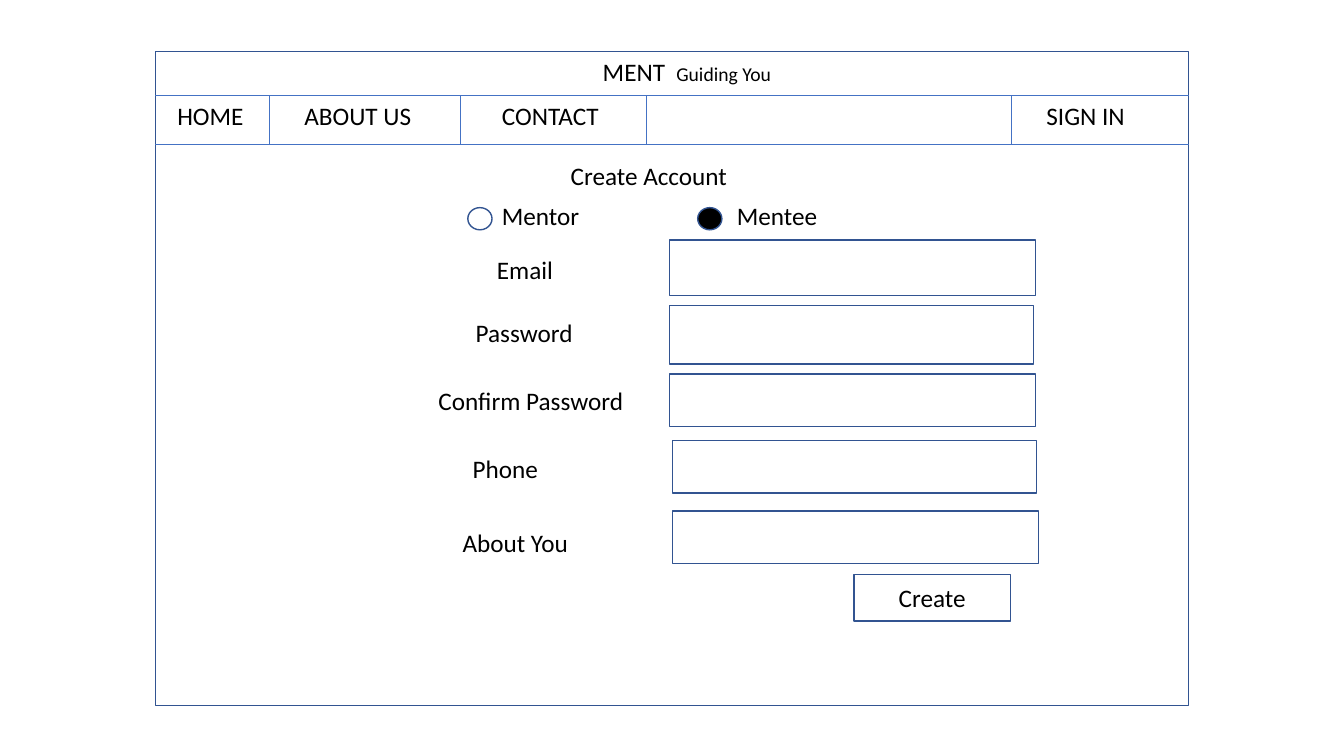
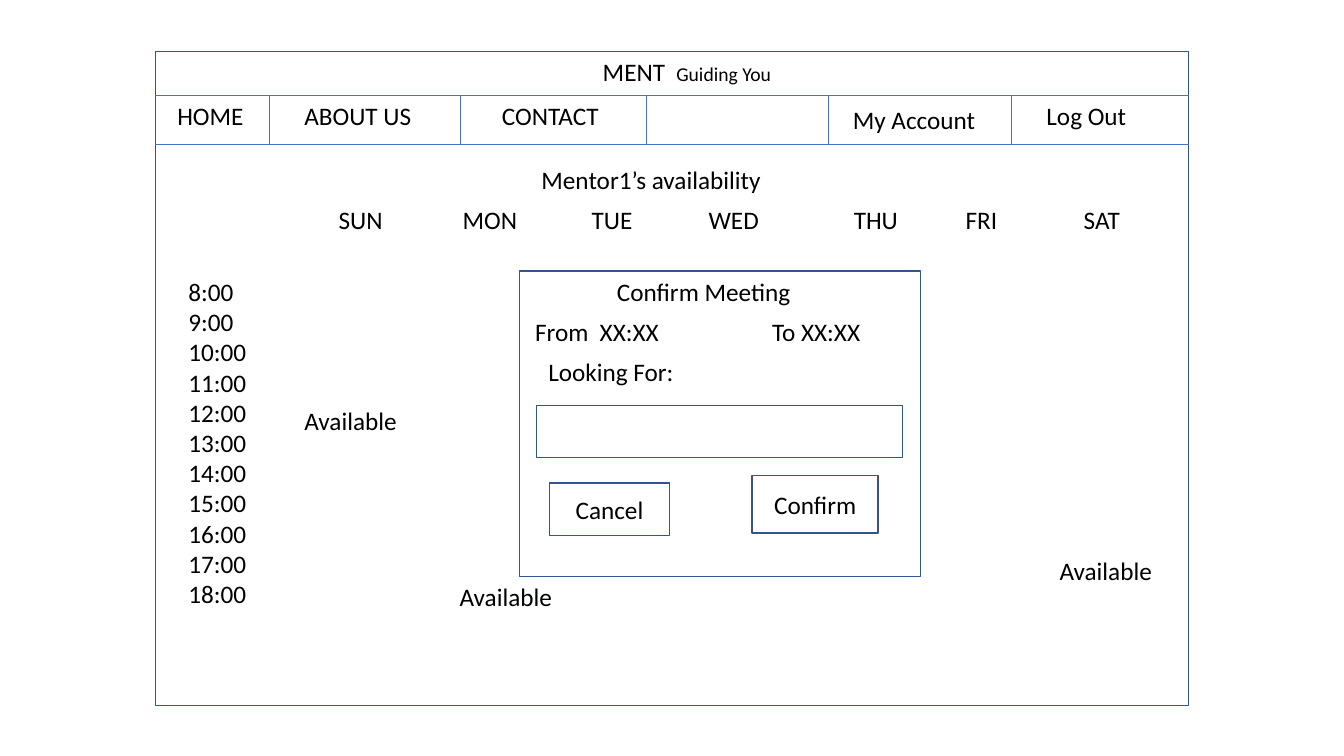
from lxml.etree import SubElement
from pptx import Presentation
from pptx.dml.color import RGBColor
from pptx.enum.shapes import MSO_CONNECTOR, MSO_SHAPE
from pptx.enum.text import MSO_ANCHOR, MSO_AUTO_SIZE, PP_ALIGN
from pptx.oxml.ns import qn
from pptx.util import Inches, Pt

FONT = "Calibri"
BLACK, WHITE = "000000", "FFFFFF"
OUTLINE, DIVIDER = "325491", "4472C4"
LEFT, TOP, WIDTH, HEIGHT = 1.54, 0.51, 10.25, 6.49
RIGHT = LEFT + WIDTH
NAV_TOP, NAV_BOTTOM = 0.95, 1.43
LINE_HEIGHT = 0.4
TITLE_ONLY = 5


def color(value):
    """Turn a hex string into a colour."""
    return RGBColor.from_string(value)


def write(frame, text, size=18, align=PP_ALIGN.LEFT, anchor=MSO_ANCHOR.TOP,
          tabs=(), tail="", tail_size=14):
    """Fill a frame with one paragraph per line, with an optional smaller tail."""
    frame.word_wrap = True
    frame.auto_size = MSO_AUTO_SIZE.NONE
    frame.vertical_anchor = anchor
    for index, line in enumerate(text.split("\n")):
        paragraph = frame.paragraphs[0] if index == 0 else frame.add_paragraph()
        paragraph.alignment = align
        if tabs:
            stops = SubElement(paragraph._p.get_or_add_pPr(), qn("a:tabLst"))
            for position in tabs:
                SubElement(stops, qn("a:tab"), pos=str(Inches(position)), algn="l")
        for words, points in ((line, size), (tail, tail_size)):
            if words:
                run = paragraph.add_run()
                run.text = words
                run.font.name = FONT
                run.font.size = Pt(points)
                run.font.color.rgb = color(BLACK)


def add_label(slide, text, left, top, width=2, height=LINE_HEIGHT, **style):
    """Add a text box."""
    label = slide.shapes.add_textbox(
        Inches(left), Inches(top), Inches(width), Inches(height))
    write(label.text_frame, text, **style)


def add_outlined(slide, left, top, width, height, text="",
                 kind=MSO_SHAPE.RECTANGLE, fill=WHITE):
    """Add an outlined shape, with a centred caption if given."""
    outlined = slide.shapes.add_shape(
        kind, Inches(left), Inches(top), Inches(width), Inches(height))
    outlined.shadow.inherit = False
    outlined.fill.solid()
    outlined.fill.fore_color.rgb = color(fill)
    outlined.line.color.rgb = color(OUTLINE)
    outlined.line.width = Pt(1)
    if text:
        write(outlined.text_frame, text, align=PP_ALIGN.CENTER,
              anchor=MSO_ANCHOR.MIDDLE)


def add_divider(slide, x1, y1, x2, y2):
    """Add a thin line without a shadow."""
    divider = slide.shapes.add_connector(
        MSO_CONNECTOR.STRAIGHT, Inches(x1), Inches(y1), Inches(x2), Inches(y2))
    divider.line.color.rgb = color(DIVIDER)
    divider.line.width = Pt(0.5)
    SubElement(divider._element.spPr, qn("a:effectLst"))


def add_title(slide, text, left, top):
    """Place the page title in front of the page frame."""
    title = slide.shapes.title
    title.left, title.top = Inches(left), Inches(top)
    title.width, title.height = Inches(3), Inches(LINE_HEIGHT)
    write(title.text_frame, text)
    slide.shapes._spTree.append(title._element)


def add_page(deck, title, title_left, title_top, last_link):
    """Add a slide with the site frame, banner, menu and title."""
    slide = deck.slides.add_slide(deck.slide_layouts[TITLE_ONLY])
    add_outlined(slide, LEFT, TOP, WIDTH, HEIGHT)
    for y in (NAV_TOP, NAV_BOTTOM):
        add_divider(slide, LEFT, y, RIGHT, y)
    for x in (2.67, 4.57, 6.41, 10.03):
        add_divider(slide, x, NAV_TOP, x, NAV_BOTTOM)
    add_label(slide, "MENT\t", 5.88, TOP, tabs=[0.73], tail="Guiding You")
    links = (("HOME", 1.66), ("ABOUT US", 2.92), ("CONTACT", 4.88),
             (last_link, 10.28))
    for link, left in links:
        add_label(slide, link, left, NAV_TOP, 1.41)
    add_title(slide, title, title_left, title_top)
    return slide


def build_sign_up(deck):
    """Build the account form."""
    slide = add_page(deck, "Create Account", 5.56, 1.54, "SIGN IN")
    roles = (("Mentor", 4.64, 4.88, WHITE), ("Mentee", 6.92, 7.21, BLACK))
    for role, button_left, label_left, fill in roles:
        add_outlined(slide, button_left, 2.06, 0.24, 0.22,
                     kind=MSO_SHAPE.OVAL, fill=fill)
        add_label(slide, role, label_left, 1.94)
    fields = (
        ("Email", 4.83, 2.47, (6.64, 2.38, 3.63, 0.55)),
        ("Password", 4.62, 3.1, (6.64, 3.03, 3.61, 0.58)),
        ("Confirm Password", 4.25, 3.77, (6.64, 3.71, 3.63, 0.52)),
        ("Phone", 4.59, 4.45, (6.67, 4.37, 3.61, 0.52)),
        ("About You", 4.49, 5.18, (6.67, 5.07, 3.63, 0.52)),
    )
    for field, left, top, entry in fields:
        add_label(slide, field, left, top, 2.2)
        add_outlined(slide, *entry)
    add_outlined(slide, 8.47, 5.7, 1.55, 0.46, "Create")


def build_availability(deck):
    """Build the weekly calendar with its meeting dialog."""
    slide = add_page(deck, "Mentor1’s availability", 5.27, 1.58, "Log Out")
    add_divider(slide, 8.22, NAV_TOP, 8.22, NAV_BOTTOM)
    add_label(slide, "My Account", 8.36, 0.99, 1.49)
    add_label(slide, "SUN\tMON\tTUE\tWED\tTHU\tFRI\tSAT", 3.26, 1.98, 8.4,
              tabs=(1.23, 2.51, 3.67, 5.11, 6.22, 7.39))
    hours = "\n".join(f"{hour}:00" for hour in range(8, 19))
    add_label(slide, hours, 1.77, 2.69, 1.15, 3.44)
    for left, top in ((2.92, 3.97), (10.41, 5.46), (4.46, 5.72)):
        add_label(slide, "Available", left, top, 1.28)

    add_outlined(slide, 5.15, 2.69, 3.98, 3.03)
    add_label(slide, "Confirm Meeting", 6.02, 2.69, 2.4)
    add_label(slide, "From\tXX:XX", 5.21, 3.09, 1.6, tabs=[0.64])
    add_label(slide, "To XX:XX", 7.56, 3.09, 1.4)
    add_label(slide, "Looking For:", 5.34, 3.49)
    add_outlined(slide, 5.32, 4.02, 3.63, 0.52)
    add_outlined(slide, 5.45, 4.79, 1.19, 0.52, "Cancel")
    add_outlined(slide, 7.46, 4.72, 1.25, 0.57, "Confirm")


def main():
    """Build and save the deck."""
    deck = Presentation()
    deck.slide_width, deck.slide_height = Inches(13.33), Inches(7.5)
    build_sign_up(deck)
    build_availability(deck)
    deck.save("out.pptx")


if __name__ == "__main__":
    main()
